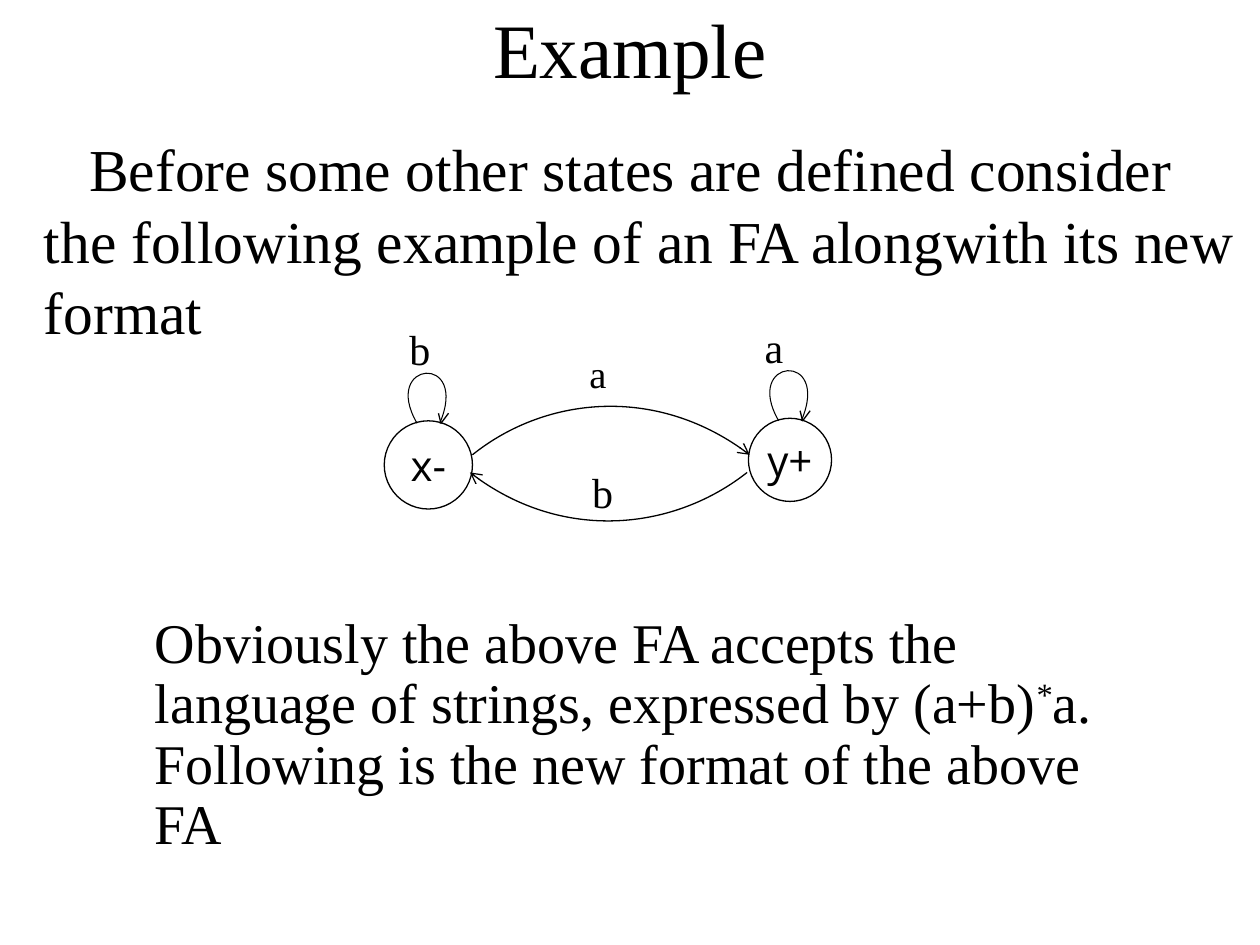
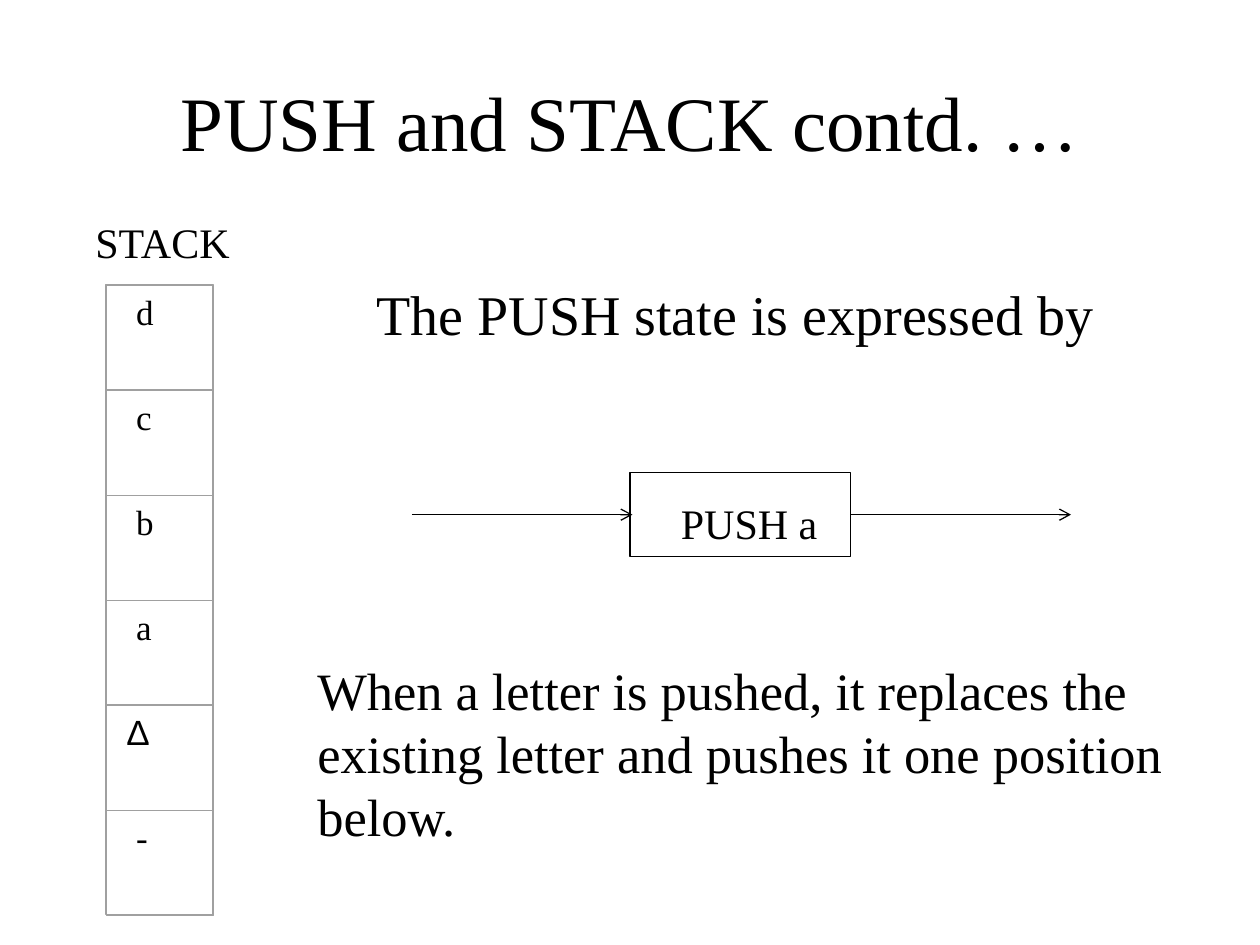
from lxml import etree
from pptx import Presentation
from pptx.dml.color import RGBColor
from pptx.enum.shapes import MSO_CONNECTOR, MSO_SHAPE
from pptx.enum.text import MSO_ANCHOR, PP_ALIGN
from pptx.oxml.ns import qn
from pptx.util import Inches, Pt

BLACK = RGBColor(0, 0, 0)
WHITE = RGBColor(255, 255, 255)
GREY = RGBColor(0xA0, 0xA0, 0xA0)
SERIF, SANS, ARIAL = "Times New Roman", "Open Sans", "Arial"
LEFT, CENTER = PP_ALIGN.LEFT, PP_ALIGN.CENTER
TOP, MIDDLE = MSO_ANCHOR.TOP, MSO_ANCHOR.MIDDLE
RECT, OVAL = MSO_SHAPE.RECTANGLE, MSO_SHAPE.OVAL
STRAIGHT = MSO_CONNECTOR.STRAIGHT


def inches(box):
    """Turn a tuple of numbers into lengths."""
    return [Inches(n) for n in box]


def style(frame, size, font=SERIF, align=LEFT):
    """Format every run of a text frame."""
    for para in frame.paragraphs:
        para.alignment = align
        for run in para.runs:
            run.font.size = Pt(size)
            run.font.name = font
            run.font.color.rgb = BLACK


def pad(frame, left, top, right=0, bottom=0):
    """Set the four margins of a text frame."""
    frame.margin_left, frame.margin_top = Inches(left), Inches(top)
    frame.margin_right, frame.margin_bottom = Inches(right), Inches(bottom)


def add_text(slide, box, text, size, align=LEFT):
    """Add a wrapped text box and return its frame."""
    frame = slide.shapes.add_textbox(*inches(box)).text_frame
    frame.word_wrap = True
    frame.text = text
    style(frame, size, align=align)
    return frame


def add_box(slide, kind, box, color=BLACK, width=0.75, fill=None):
    """Add an outlined shape, filled only if a fill is given."""
    shape = slide.shapes.add_shape(kind, *inches(box))
    shape.shadow.inherit = False
    if fill is None:
        shape.fill.background()
    else:
        shape.fill.solid()
        shape.fill.fore_color.rgb = fill
    shape.line.color.rgb = color
    shape.line.width = Pt(width)
    return shape


def ink(shape, width=0.75, arrow=False):
    """Draw a line in black, with an open arrowhead if asked."""
    shape.line.color.rgb = BLACK
    shape.line.width = Pt(width)
    if arrow:
        line = shape._element.spPr.find(qn("a:ln"))
        etree.SubElement(line, qn("a:tailEnd"), type="arrow")


def add_path(slide, points, width=0.75, arrow=False, curve=False):
    """Draw an open outline, or a Bezier curve through four points."""
    dots = [(Inches(x), Inches(y)) for x, y in points]
    maker = slide.shapes.build_freeform(*dots[0])
    maker.add_line_segments(dots[1:], close=False)
    shape = maker.convert_to_shape()
    shape.shadow.inherit = False
    shape.fill.background()
    ink(shape, width, arrow)
    if curve:
        steps = list(shape._element.iter(qn("a:lnTo")))
        bend = etree.SubElement(steps[0].getparent(), qn("a:cubicBezTo"))
        for step in steps:
            bend.append(step[0])
            step.getparent().remove(step)


def add_arrow(slide, start, end, y):
    """Draw a level arrow."""
    line = slide.shapes.add_connector(STRAIGHT, *inches((start, y, end, y)))
    ink(line, arrow=True)
    etree.SubElement(line._element.spPr, qn("a:effectLst"))


def add_slide(deck, title, top):
    """Add a slide with its title at the given height."""
    slide = deck.slides.add_slide(deck.slide_layouts[5])
    head = slide.shapes.title
    head.left, head.top, head.width, head.height = inches((0.75, top, 8.5, 1.25))
    head.text_frame.text = title
    head.text_frame.vertical_anchor = MIDDLE
    style(head.text_frame, 44, align=CENTER)
    return slide


def add_state(slide, box, name):
    """Draw a named state with the loop above it."""
    left, top, size, _ = box
    frame = add_box(slide, OVAL, box, fill=WHITE).text_frame
    frame.word_wrap = False
    frame.vertical_anchor = MIDDLE
    pad(frame, 0, 0)
    frame.text = name
    style(frame, 24, SANS, CENTER)
    x, y = left + size / 2 - 0.09, top + 0.02
    loop = [(x, y), (x - 0.29, y - 0.5), (x + 0.42, y - 0.56), (x + 0.18, y)]
    add_path(slide, loop, 0.6, curve=True)
    tip = [(x + 0.17, y - 0.08), (x + 0.19, y), (x + 0.25, y - 0.08)]
    add_path(slide, tip)


def add_graph(slide, box):
    """Draw the two-state automaton in a box."""
    x, y, w, h = box
    add_state(slide, (x, y + 0.84, 0.7, 0.7), "x-")
    add_state(slide, (x + w - 0.66, y + 0.82, 0.66, 0.66), "y+")
    near, far = x + 0.7, x + w - 0.66
    over = [(near, y + 1.11), (near + 0.56, y + 0.66),
            (near + 1.47, y + 0.55), (far + 0.01, y + 1.11)]
    under = [(far - 0.01, y + 1.25), (far - 0.58, y + 1.7),
             (far - 1.49, y + 1.81), (near - 0.02, y + 1.25)]
    for points in (over, under):
        add_path(slide, points, arrow=True, curve=True)
    for dx, dy, text, size in ((0.1, 0.02, "b", 24), (1.53, 0.23, "a", 22),
                               (1.55, 1.15, "b", 24), (2.92, 0, "a", 24)):
        add_text(slide, (x + dx, y + dy, 1.09, 0.52), text, size)


def add_stack(slide, box, items):
    """Draw a labelled stack of equal cells."""
    x, y, w, h = box
    add_text(slide, (x - 0.3, y - 0.59, 1.5, 0.5), "STACK", 24, CENTER)
    step = h / len(items)
    for i, item in enumerate(items):
        cell = add_box(slide, RECT, (x, y + i * step, w, step), GREY, 0.25)
        frame = cell.text_frame
        frame.vertical_anchor = TOP
        greek = item == "∆"
        pad(frame, 0.17 if greek else 0.24, 0.05)
        frame.text = item
        style(frame, 20, ARIAL if greek else SERIF)
    add_box(slide, RECT, box, GREY, 0.87)


def add_push(slide, box):
    """Draw the PUSH state between two arrows."""
    x, y, w, h = box
    frame = add_box(slide, RECT, box).text_frame
    frame.vertical_anchor = TOP
    pad(frame, 0.14, 0.2)
    frame.text = "PUSH a"
    style(frame, 24, align=CENTER)
    add_arrow(slide, x + w, x + 2 * w, y + h / 2)
    add_arrow(slide, x + 0.02 - w, x + 0.02, y + h / 2)


def build_example(deck):
    """Build the slide on the example automaton."""
    slide = add_slide(deck, "Example", -0.25)
    intro = add_text(
        slide, (0.25, 1, 9.75, 1.8),
        "Before some other states are defined consider the following "
        "example of an FA alongwith its new format", 34)
    intro.paragraphs[0]._p.get_or_add_pPr().set("indent", str(Inches(0.36)))
    add_graph(slide, (3.05, 2.5, 3.55, 1.81))
    frame = add_text(slide, (1.13, 4.83, 8.12, 2.17), "", 32)
    para = frame.paragraphs[0]
    para.line_spacing = 0.9
    for part in ("Obviously the above FA accepts the language of strings, "
                 "expressed by (a+b)", "*",
                 "a. Following is the new format of the above FA"):
        para.add_run().text = part
    style(frame, 32)
    para.runs[1].font._element.set("baseline", "30000")


def build_push(deck):
    """Build the slide on the PUSH state."""
    slide = add_slide(deck, "PUSH and STACK contd. …", 0.33)
    add_stack(slide, (0.84, 2.26, 0.85, 5), ["d", "c", "b", "a", "∆", "-"])
    add_text(slide, (2.89, 2.17, 6.36, 0.65),
             "The PUSH state is expressed by", 32)
    add_push(slide, (5, 3.75, 1.75, 0.67))
    add_text(slide, (2.42, 5.17, 7.33, 1.65),
             "When a letter is pushed, it replaces the existing letter and "
             "pushes it one position below.", 30)


deck = Presentation()
deck.slide_width, deck.slide_height = Inches(10), Inches(7.5)
build_example(deck)
build_push(deck)
deck.save("out.pptx")
